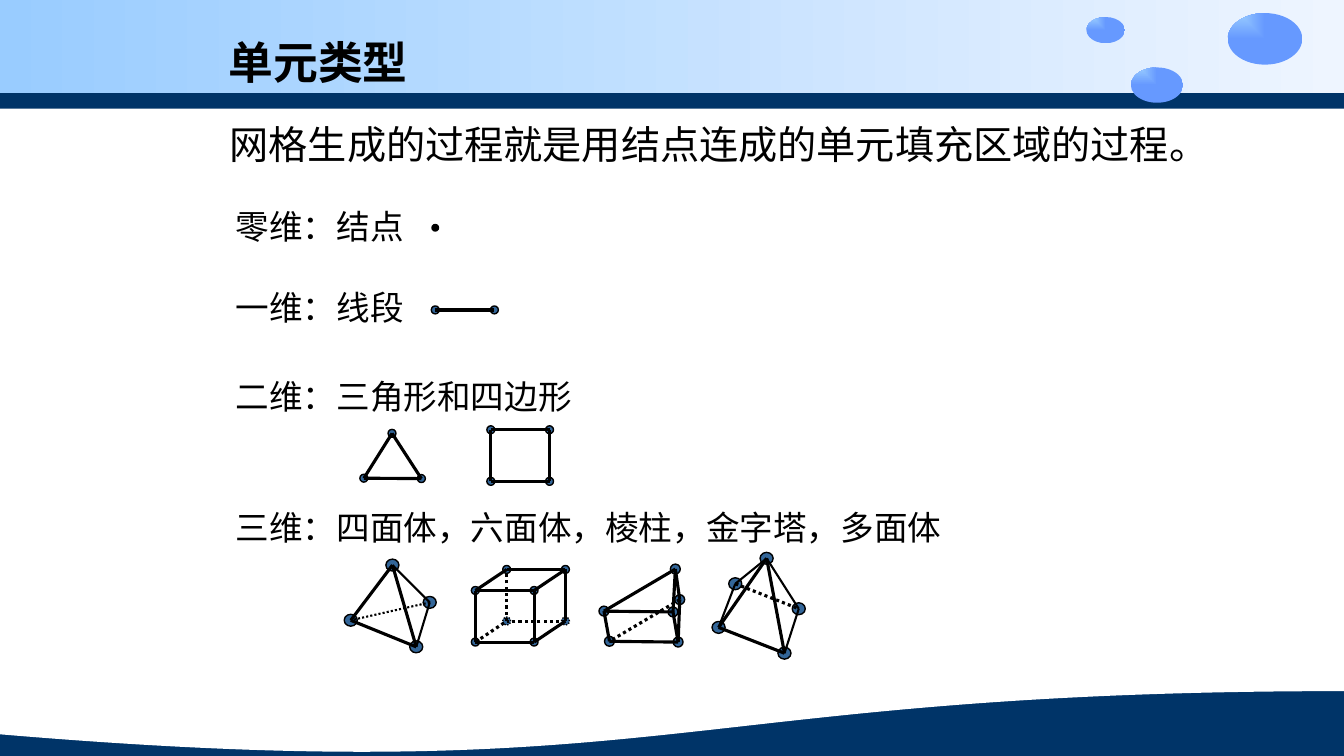
from lxml import etree
from pptx import Presentation
from pptx.dml.color import RGBColor
from pptx.enum.dml import MSO_LINE
from pptx.enum.shapes import MSO_CONNECTOR, MSO_SHAPE
from pptx.enum.text import MSO_ANCHOR
from pptx.oxml.ns import qn
from pptx.util import Cm, Pt

RECT, OVAL, WAVE = MSO_SHAPE.RECTANGLE, MSO_SHAPE.OVAL, MSO_SHAPE.FLOWCHART_DOCUMENT
STRAIGHT = MSO_CONNECTOR.STRAIGHT
MIDDLE = MSO_ANCHOR.MIDDLE
DOTTED = MSO_LINE.ROUND_DOT
CJK_FONT, TITLE_FONT = "Noto Sans CJK SC", "Times New Roman"
COLORS = {"navy": "003468", "white": "FFFFFF", "black": "000000", "node": "336699",
          "sky": "99CCFF", "pale": "EEF5FF", "bubble": "6699FF"}
THICK, THIN = 2.25, 1.5


class MeshSlide:
    """Draws banner, text and mesh cells on one slide, measured in centimetres."""

    def __init__(self, slide):
        self.slide = slide
        background = slide.background.fill
        background.solid()
        background.fore_color.rgb = self.color("navy")

    def color(self, name):
        return RGBColor.from_string(COLORS[name])

    def shape(self, kind, left, top, width, height, fill=None):
        shape = self.slide.shapes.add_shape(kind, Cm(left), Cm(top), Cm(width), Cm(height))
        shape.shadow.inherit = False
        shape.line.fill.background()
        if fill:
            shape.fill.solid()
            shape.fill.fore_color.rgb = self.color(fill)
        return shape

    def gradient(self, shape, start, end, from_corner=False):
        shape.fill.gradient()
        shape.fill.gradient_angle = 0
        for stop, name, position in zip(shape.fill.gradient_stops, (start, end), (0, 1)):
            stop.color.rgb = self.color(name)
            stop.position = position
        if from_corner:
            grad = shape._element.spPr.find(qn("a:gradFill"))
            grad.remove(grad.find(qn("a:lin")))
            corner = etree.SubElement(grad, qn("a:path"))
            corner.set("path", "rect")
            focus = etree.SubElement(corner, qn("a:fillToRect"))
            focus.set("r", "100000")
            focus.set("b", "100000")

    def bubble(self, left, top, width, height):
        self.gradient(self.shape(OVAL, left, top, width, height), "sky", "bubble", True)

    def text(self, wording, left, top, width, height, size, latin=CJK_FONT, bold=False):
        box = self.slide.shapes.add_textbox(Cm(left), Cm(top), Cm(width), Cm(height))
        frame = box.text_frame
        frame.word_wrap = True
        frame.vertical_anchor = MIDDLE
        frame.text = wording
        run = frame.paragraphs[0].runs[0]
        font = run.font
        font.size, font.bold, font.name = Pt(size), bold, latin
        font.color.rgb = self.color("black")
        etree.SubElement(run._r.get_or_add_rPr(), qn("a:ea")).set("typeface", CJK_FONT)

    def node(self, x, y, width, height, dotted=False):
        node = self.shape(OVAL, x - width / 2, y - height / 2, width, height, "node")
        node.line.color.rgb = self.color("black")
        node.line.width = Pt(1)
        if dotted:
            node.line.dash_style = DOTTED

    def edge(self, start, end, weight, dotted):
        edge = self.slide.shapes.add_connector(STRAIGHT, *map(Cm, start + end))
        edge.line.color.rgb = self.color("black")
        edge.line.width = Pt(weight)
        if dotted:
            edge.line.dash_style = DOTTED
        etree.SubElement(edge._element.spPr, qn("a:effectLst"))

    def cell(self, nodes, edges, size=(0.2, 0.2), hidden=""):
        for name, (x, y) in nodes.items():
            self.node(x, y, *size, dotted=name in hidden)
        for pairs, weight, dotted in edges:
            for start, end in pairs.split():
                self.edge(nodes[start], nodes[end], weight, dotted)


def main():
    prs = Presentation()
    prs.slide_width, prs.slide_height = Cm(33.87), Cm(19.05)
    page = MeshSlide(prs.slides.add_slide(prs.slide_layouts[6]))

    page.gradient(page.shape(RECT, 0, 0, 33.87, 2.34), "sky", "pale")
    page.shape(RECT, 0, 2.74, 33.87, 10.16, "white")
    page.shape(WAVE, 0, 10.8, 33.87, 8.25, "white")
    for bubble in [(27.38, 0.43, 0.97, 0.66), (28.5, 1.7, 1.32, 0.89), (30.94, 0.33, 1.88, 1.3)]:
        page.bubble(*bubble)

    page.text("单元类型", 5.51, 0.76, 22.86, 1.6, 32, TITLE_FONT, True)
    page.text("网格生成的过程就是用结点连成的单元填充区域的过程。", 5.54, 2.9, 25.81, 1.45, 28)
    for wording, top in [("零维：结点", 5.05), ("一维：线段", 7.11), ("二维：三角形和四边形", 9.35),
                         ("三维：四面体，六面体，棱柱，金字塔，多面体", 12.65)]:
        page.text(wording, 5.69, top, 22.61, 1.27, 24)

    page.shape(OVAL, 10.87, 5.64, 0.2, 0.2, "black")

    segment = {"A": (10.97, 7.81), "B": (12.46, 7.81)}
    page.cell(segment, [("AB", THICK, False)])

    triangle = {"A": (9.88, 10.92), "B": (9.17, 12.05), "C": (10.62, 12.06)}
    page.cell(triangle, [("AB BC CA", THICK, False)])

    square = {"A": (12.37, 10.83), "B": (13.85, 10.83), "C": (13.85, 12.13), "D": (12.37, 12.13)}
    page.cell(square, [("AB BC CD DA", THICK, False)])

    tetrahedron = {"A": (9.89, 14.24), "B": (8.84, 15.63), "C": (10.49, 16.3), "D": (10.83, 15.18)}
    page.cell(tetrahedron, [("AB BC CA", THICK, False), ("AD DC", THIN, False),
                            ("DB", THIN, True)], (0.33, 0.3))

    front = {"A": (11.98, 14.88), "B": (13.46, 14.88), "C": (13.46, 16.18), "D": (11.98, 16.18)}
    back = {name: (x + 0.79, y - 0.53) for name, (x, y) in zip("EFGH", front.values())}
    page.cell({**front, **back}, [("AB BC CD DA EF FG AE BF CG", THICK, False),
                                  ("GH HE DH", THICK, True)], hidden="GH")

    prism = {"A": (17.02, 14.34), "B": (15.22, 15.4), "C": (16.96, 15.42),
             "D": (17.13, 15.11), "E": (15.36, 16.16), "F": (17.09, 16.18)}
    page.cell(prism, [("AB BC CA EF FD AD BE CF", THICK, False),
                      ("DE", THICK, True)], (0.25, 0.25))

    pyramid = {"A": (19.32, 14.07), "B": (18.11, 15.81), "C": (19.77, 16.46),
               "D": (20.13, 15.34), "E": (18.53, 14.71)}
    page.cell(pyramid, [("AB BC CA", THICK, False), ("AD DC EB EA", THIN, False),
                        ("ED", THICK, True)], (0.33, 0.3))

    prs.save("out.pptx")


if __name__ == "__main__":
    main()
